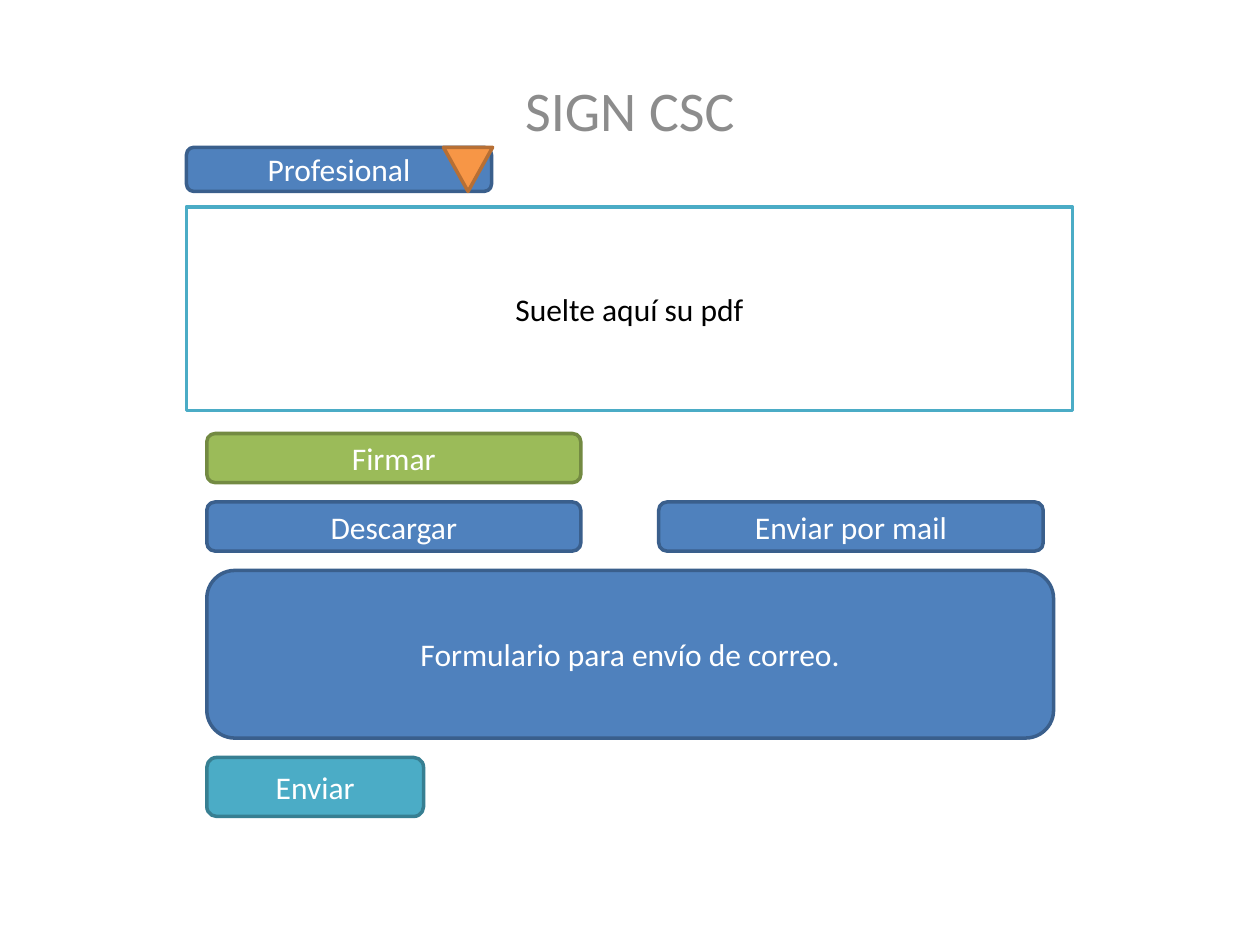
from dataclasses import dataclass

from pptx import Presentation
from pptx import util as u
from pptx.dml.color import RGBColor
from pptx.enum import shapes, text

COLORS = {
    "white": "FFFFFF", "black": "000000", "title": "8C8C8C",
    "blue": "4F81BD", "blue_edge": "3A5F8C",
    "green": "9BBB59", "green_edge": "738A42",
    "teal": "4BACC6", "teal_edge": "377F92",
    "orange": "F79646", "orange_edge": "B76F34",
}
FONT = "Calibri"
RECT = shapes.MSO_SHAPE.RECTANGLE
ROUND = shapes.MSO_SHAPE.ROUNDED_RECTANGLE
TRIANGLE = shapes.MSO_SHAPE.ISOSCELES_TRIANGLE


@dataclass
class Box:
    label: str
    left: float
    top: float
    width: float
    height: float
    fill: str = "blue"
    line: str = "blue_edge"
    ink: str = "white"
    kind: shapes.MSO_SHAPE = ROUND
    rotation: int = 0


def rgb(name: str) -> RGBColor:
    return RGBColor.from_string(COLORS[name])


def write(tf, label: str, size: int, color: str, anchor) -> None:
    tf.text = label
    tf.word_wrap = True
    tf.auto_size = text.MSO_AUTO_SIZE.NONE
    tf.vertical_anchor = anchor
    p = tf.paragraphs[0]
    p.alignment = text.PP_ALIGN.CENTER
    for r in p.runs:
        r.font.name = FONT
        r.font.size = u.Pt(size)
        r.font.color.rgb = rgb(color)


def draw(s, box: Box) -> None:
    sp = s.shapes.add_shape(box.kind, u.Cm(box.left), u.Cm(box.top),
                            u.Cm(box.width), u.Cm(box.height))
    sp.rotation = box.rotation
    sp.shadow.inherit = False
    sp.fill.solid()
    sp.fill.fore_color.rgb = rgb(box.fill)
    sp.line.color.rgb = rgb(box.line)
    sp.line.width = u.Pt(2)
    if box.label:
        write(sp.text_frame, box.label, 18, box.ink, text.MSO_ANCHOR.MIDDLE)


prs = Presentation()
prs.slide_width, prs.slide_height = u.Cm(25.4), u.Cm(19.05)
s = prs.slides.add_slide(prs.slide_layouts[5])

# Title
title = s.shapes.title
title.left, title.top = u.Cm(3.81), u.Cm(1.4)
title.width, title.height = u.Cm(17.78), u.Cm(16.87)
write(title.text_frame, "SIGN CSC", 32, "title", text.MSO_ANCHOR.TOP)

# Selector and drop area share one left edge
EDGE, SELECT_TOP, SELECT_H = 3.76, 2.97, 0.89

# Rows of the form, separated by equal gaps
LEFT, BUTTON_W, BUTTON_H, FORM_H, GAP = 4.17, 7.54, 0.99, 3.38, 0.39
sign_top = 8.74
action_top = sign_top + BUTTON_H + GAP
form_top = action_top + BUTTON_H + GAP
send_top = form_top + FORM_H + GAP

boxes = [
    Box("Suelte aquí su pdf", EDGE, 4.17, 17.86, 4.11,
        "white", "teal", "black", RECT),
    Box("Profesional", EDGE, SELECT_TOP, 6.15, SELECT_H),
    Box("", 8.94, SELECT_TOP, 0.99, SELECT_H,
        "orange", "orange_edge", kind=TRIANGLE, rotation=180),
    Box("Firmar", LEFT, sign_top, BUTTON_W, BUTTON_H, "green", "green_edge"),
    Box("Descargar", LEFT, action_top, BUTTON_W, BUTTON_H),
    Box("Enviar por mail", 13.28, action_top, 7.75, BUTTON_H),
    Box("Formulario para envío de correo.", LEFT, form_top, 17.07, FORM_H),
    Box("Enviar", LEFT, send_top, 4.37, 1.19, "teal", "teal_edge"),
]
for box in boxes:
    draw(s, box)

prs.save("out.pptx")
